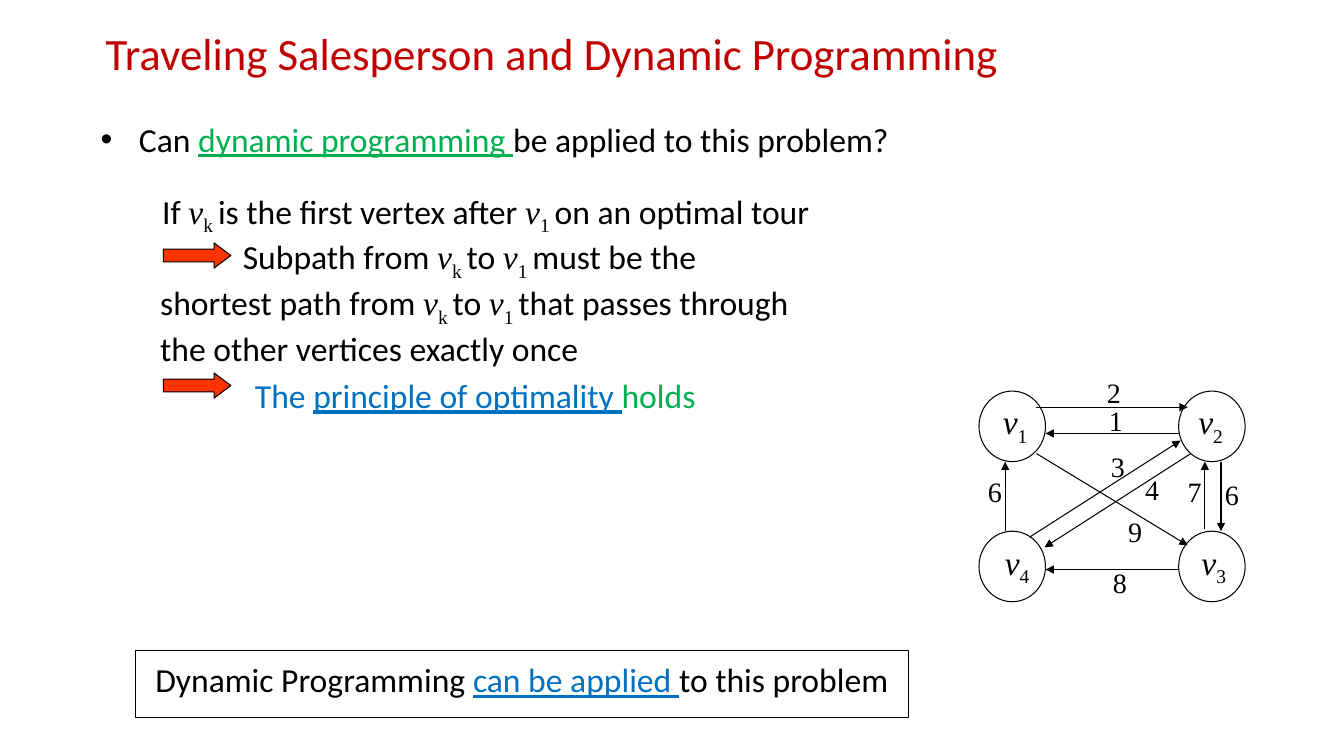
from lxml.etree import SubElement
from pptx import Presentation
from pptx.dml.color import RGBColor
from pptx.enum.shapes import MSO_CONNECTOR, MSO_SHAPE
from pptx.enum.text import MSO_ANCHOR, PP_ALIGN
from pptx.oxml.ns import qn
from pptx.util import Inches, Pt

SANS, SERIF = "Calibri", "Times New Roman"
BLACK, WHITE, RED, ORANGE = "000000", "FFFFFF", "C00000", "FF3300"
GREEN, BLUE = "00B050", "0070C0"
VERTEX = {"font": SERIF, "italic": True}
SUBSCRIPT = {"font": SERIF, "subscript": True}
VK = [("v", VERTEX), ("k ", SUBSCRIPT)]
V1 = [("v", VERTEX), ("1 ", SUBSCRIPT)]

TITLE = [("Traveling Salesperson and Dynamic Programming", {"size": 32, "color": RED})]
QUESTION = [
    ("Can ", {}),
    ("dynamic programming ", {"color": GREEN, "underline": True}),
    ("be applied to this problem?", {}),
]
ARGUMENT = [
    (0.33, 0, [("If ", {}), *VK, ("is the first vertex after ", {}), *V1, ("on an optimal tour", {})]),
    (1.13, 0, [("Subpath from ", {}), *VK, ("to ", {}), *V1, ("must be the", {})]),
    (0.31, 0, [("shortest path from ", {}), *VK, ("to ", {}), *V1, ("that passes through", {})]),
    (0.31, 0, [("the other vertices exactly once", {})]),
    (1.25, 4.8, [
        ("The ", {"color": BLUE}),
        ("principle of optimality ", {"color": BLUE, "underline": True}),
        ("holds", {"color": GREEN}),
    ]),
]
CONCLUSION = [
    ("Dynamic Programming ", {}),
    ("can be applied ", {"color": BLUE, "underline": True}),
    ("to this problem", {}),
]
BLOCK_ARROW_TOPS = [2.41, 3.7]
COLUMNS, ROWS = (9.71, 11.69), (3.88, 5.27)
VERTICES = [("1", 0, 0, 0.14), ("2", 1, 0, 0.1), ("4", 0, 1, 0.16), ("3", 1, 1, 0.13)]
EDGES = [
    (11.81, 4.5, 10.36, 5.43),
    (10.28, 4.04, 11.78, 4.04),
    (9.97, 5.27, 9.97, 4.58),
    (12.11, 4.58, 12.11, 5.27),
    (11.69, 5.65, 10.37, 5.65),
    (11.69, 4.3, 10.37, 4.3),
    (11.95, 5.25, 11.95, 4.58),
    (10.21, 5.33, 11.71, 4.37),
    (10.28, 4.5, 11.78, 5.41),
]
WEIGHTS = [
    ("2", 10.88, 3.68), ("8", 10.94, 5.56), ("4", 11.26, 4.64),
    ("1", 10.9, 3.95), ("6", 12.05, 4.69), ("6", 9.7, 4.66),
    ("7", 11.68, 4.66), ("3", 10.92, 4.41), ("9", 11.09, 5.06),
]


def rgb(color):
    return RGBColor.from_string(color)


def add_run(paragraph, text, font=SANS, size=24, color=BLACK,
            italic=False, underline=False, subscript=False):
    run = paragraph.add_run()
    run.text = text
    run.font.name = font
    run.font.size = Pt(size)
    run.font.color.rgb = rgb(color)
    run.font.italic = italic
    run.font.underline = underline
    if subscript:
        run._r.get_or_add_rPr().set("baseline", "-25000")


def write(paragraph, runs):
    for text, style in runs:
        add_run(paragraph, text, **style)


def prepare_frame(shape, insets=(0.1, 0.05, 0.1, 0.05), anchor=MSO_ANCHOR.TOP):
    frame = shape.text_frame
    frame.word_wrap = True
    frame.vertical_anchor = anchor
    frame.margin_left, frame.margin_top, frame.margin_right, frame.margin_bottom = map(Inches, insets)
    return frame


def add_text_box(slide, box, anchor=MSO_ANCHOR.TOP):
    return prepare_frame(slide.shapes.add_textbox(*map(Inches, box)), anchor=anchor)


def add_outlined(slide, kind, box, fill=None):
    shape = slide.shapes.add_shape(kind, *map(Inches, box))
    shape.shadow.inherit = False
    if fill:
        shape.fill.solid()
        shape.fill.fore_color.rgb = rgb(fill)
    else:
        shape.fill.background()
    shape.line.color.rgb = rgb(BLACK)
    shape.line.width = Pt(0.75)
    return shape


def set_indent(paragraph, left, first=0.0):
    properties = paragraph._p.get_or_add_pPr()
    properties.set("marL", str(Inches(left)))
    properties.set("indent", str(Inches(first)))
    return properties


def add_edge(slide, ends):
    edge = slide.shapes.add_connector(MSO_CONNECTOR.STRAIGHT, *map(Inches, ends))
    edge.line.color.rgb = rgb(BLACK)
    edge.line.width = Pt(0.75)
    SubElement(edge.line._get_or_add_ln(), qn("a:tailEnd"), type="triangle")
    SubElement(edge._element.spPr, qn("a:effectLst"))


def add_argument(slide):
    frame = add_text_box(slide, (1.18, 1.84, 9.25, 2.17))
    for index, (indent, space, runs) in enumerate(ARGUMENT):
        paragraph = frame.add_paragraph() if index else frame.paragraphs[0]
        set_indent(paragraph, indent)
        paragraph.space_before = Pt(space)
        write(paragraph, runs)
    for top in BLOCK_ARROW_TOPS:
        arrow = add_outlined(slide, MSO_SHAPE.RIGHT_ARROW, (1.62, top, 0.67, 0.25), ORANGE)
        arrow.adjustments[1] = 0.667


def add_graph(slide):
    for number, column, row, inset in VERTICES:
        box = (COLUMNS[column], ROWS[row], 0.66, 0.7)
        circle = add_outlined(slide, MSO_SHAPE.OVAL, box, WHITE)
        paragraph = prepare_frame(circle, (inset, 0, 0, 0.05)).paragraphs[0]
        paragraph.alignment = PP_ALIGN.LEFT
        write(paragraph, [("v", VERTEX), (number, SUBSCRIPT)])
    for ends in EDGES:
        add_edge(slide, ends)
    for weight, left, top in WEIGHTS:
        frame = add_text_box(slide, (left, top, 0.44, 0.44))
        add_run(frame.paragraphs[0], weight, font=SERIF, size=20)


def main():
    presentation = Presentation()
    presentation.slide_width = Inches(13.33)
    presentation.slide_height = Inches(7.5)
    slide = presentation.slides.add_slide(presentation.slide_layouts[6])

    title = add_text_box(slide, (0.95, 0.1, 10.72, 0.92), MSO_ANCHOR.MIDDLE).paragraphs[0]
    title.line_spacing = 0.9
    write(title, TITLE)

    question = add_text_box(slide, (0.9, 1.13, 9.5, 1.17)).paragraphs[0]
    properties = set_indent(question, 0.38, -0.38)
    SubElement(properties, qn("a:buFont"), typeface="Arial")
    SubElement(properties, qn("a:buChar"), char="•")
    write(question, QUESTION)

    panel = add_outlined(slide, MSO_SHAPE.RECTANGLE, (1.34, 6.45, 7.67, 0.67))
    conclusion = prepare_frame(panel, (0.1, 0.09, 0.1, 0.09)).paragraphs[0]
    conclusion.alignment = PP_ALIGN.CENTER
    write(conclusion, CONCLUSION)

    add_argument(slide)
    add_graph(slide)
    presentation.save("out.pptx")


if __name__ == "__main__":
    main()
